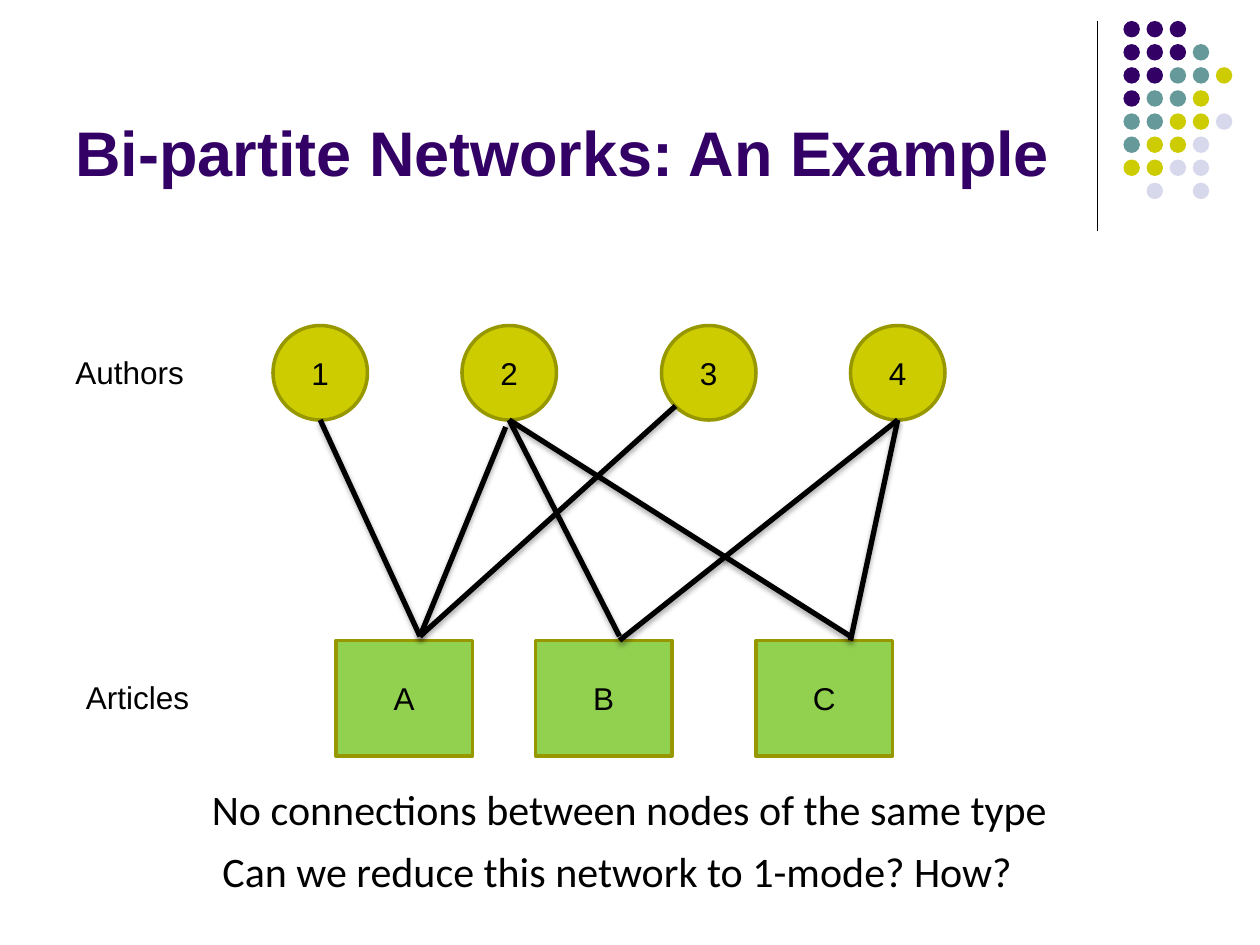
"""Build the slide on bi-partite networks of authors and articles."""
import pptx
import pptx.dml.color
import pptx.enum.shapes
import pptx.enum.text
import pptx.oxml
import pptx.oxml.ns
import pptx.util

Pt = pptx.util.Pt
RGBColor = pptx.dml.color.RGBColor
MSO_SHAPE = pptx.enum.shapes.MSO_SHAPE
MSO_ANCHOR = pptx.enum.text.MSO_ANCHOR
PP_ALIGN = pptx.enum.text.PP_ALIGN

BLACK = RGBColor(0x00, 0x00, 0x00)
PURPLE = RGBColor(0x33, 0x00, 0x66)
TEAL = RGBColor(0x66, 0x99, 0x99)
YELLOW = RGBColor(0xCC, 0xCC, 0x00)
LILAC = RGBColor(0xD8, 0xD8, 0xEC)
GREEN = RGBColor(0x92, 0xD0, 0x50)
OLIVE = RGBColor(0x97, 0x97, 0x00)

DOT_COLORS = {"P": PURPLE, "T": TEAL, "Y": YELLOW, "L": LILAC}
DOT_ROWS = ["PPP", "PPPT", "PPTTY", "PTTY", "TTYYL", "TYYL", "YYLL", ".L.L"]
DOT_PITCH = 13.2

AUTHORS = {"1": 156, "2": 264, "3": 378, "4": 486}
ARTICLES = {"A": 192, "B": 306, "C": 432}
LINKS = [
    (291, 240, 354, 363.6),
    (291, 240, 486, 363.6),
    (513, 240, 354, 366),
    (513, 240, 486, 366),
    (183, 240, 240, 363.6),
    (386, 232, 240, 363.6),
    (289, 244, 240, 363.6),
]
LABELS = [
    ("Authors", 36, 198, 77, 29, 18, "Arial"),
    ("Articles", 42, 384, 74, 29, 18, "Arial"),
    ("No connections between nodes of the same type", 114, 444, 496, 36, 24, "Calibri"),
    ("Can we reduce this network to 1-mode? How?", 120, 479.5, 469.5, 36, 24, "Calibri"),
]
SHADOW = (
    '<a:outerShdw blurRad="40000" dist="23000" dir="5400000" rotWithShape="0">'
    '<a:srgbClr val="000000"><a:alpha val="35000"/></a:srgbClr></a:outerShdw>'
)


def add_run(p, text, size, font="Arial", color=BLACK, bold=False):
    r = p.add_run()
    r.text = text
    r.font.size = Pt(size)
    r.font.name = font
    r.font.bold = bold
    r.font.color.rgb = color


def add_filled(shapes, kind, x, y, w, h, fill):
    sp = shapes.add_shape(kind, Pt(x), Pt(y), Pt(w), Pt(h))
    sp.shadow.inherit = False
    sp.fill.solid()
    sp.fill.fore_color.rgb = fill
    sp.line.fill.background()
    return sp


def add_node(s, kind, text, x, y, w, h, fill):
    sp = add_filled(s.shapes, kind, x, y, w, h, fill)
    sp.line.color.rgb = OLIVE
    sp.line.width = Pt(2)
    tf = sp.text_frame
    tf.vertical_anchor = MSO_ANCHOR.MIDDLE
    p = tf.paragraphs[0]
    p.alignment = PP_ALIGN.CENTER
    add_run(p, text, 18)


def add_line(s, x1, y1, x2, y2, width, effect=""):
    line = s.shapes.add_connector(
        pptx.enum.shapes.MSO_CONNECTOR.STRAIGHT, Pt(x1), Pt(y1), Pt(x2), Pt(y2)
    )
    line.line.color.rgb = BLACK
    line.line.width = Pt(width)
    ns = pptx.oxml.ns.nsdecls("a")
    xml = f"<a:effectLst {ns}>{effect}</a:effectLst>"
    line._element.spPr.append(pptx.oxml.parse_xml(xml))


def add_label(s, text, x, y, w, h, size, font):
    tf = s.shapes.add_textbox(Pt(x), Pt(y), Pt(w), Pt(h)).text_frame
    tf.word_wrap = False
    tf.auto_size = pptx.enum.text.MSO_AUTO_SIZE.SHAPE_TO_FIT_TEXT
    add_run(tf.paragraphs[0], text, size, font)


def add_title(s, text):
    tf = s.shapes.add_textbox(Pt(36), Pt(9.36), Pt(594), Pt(102)).text_frame
    tf.word_wrap = True
    tf.vertical_anchor = MSO_ANCHOR.BOTTOM
    add_run(tf.paragraphs[0], text, 36, color=PURPLE, bold=True)


def add_dots(s):
    group = s.shapes.add_group_shape()
    for row, codes in enumerate(DOT_ROWS):
        for col, code in enumerate(codes):
            if code in DOT_COLORS:
                x = 642 + col * DOT_PITCH
                y = 12 + row * DOT_PITCH
                add_filled(group.shapes, MSO_SHAPE.OVAL, x, y, 9.4, 9.4, DOT_COLORS[code])


def main():
    prs = pptx.Presentation()
    prs.slide_width, prs.slide_height = Pt(720), Pt(540)
    s = prs.slides.add_slide(prs.slide_layouts[6])
    add_line(s, 627, 12, 627, 132, 0.75)
    add_dots(s)
    add_title(s, "Bi-partite Networks: An Example")
    for name, x in AUTHORS.items():
        add_node(s, MSO_SHAPE.OVAL, name, x, 186, 54, 54, YELLOW)
    for name, x in ARTICLES.items():
        add_node(s, MSO_SHAPE.RECTANGLE, name, x, 366, 78, 66, GREEN)
    for link in LINKS:
        add_line(s, *link, 3, SHADOW)
    for label in LABELS:
        add_label(s, *label)
    prs.save("out.pptx")


main()
